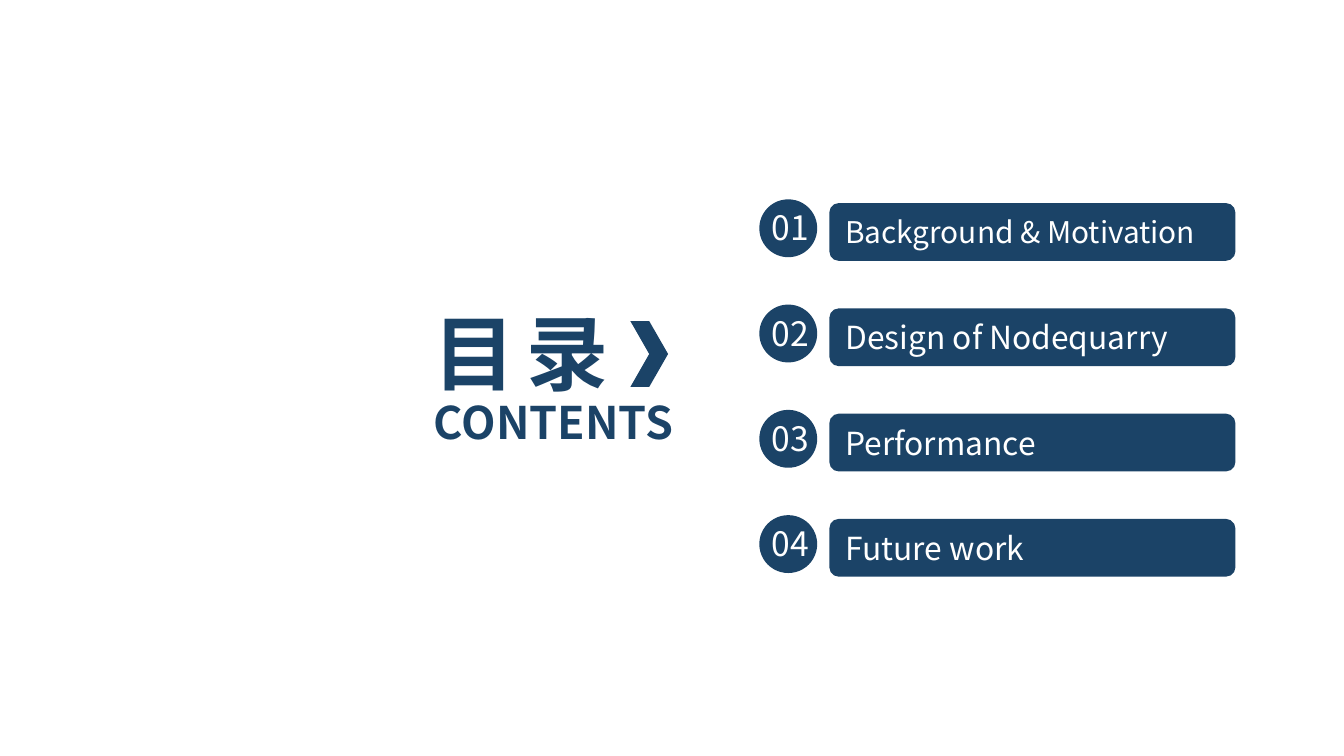
from pptx import Presentation
from pptx.dml.color import RGBColor
from pptx.enum.shapes import MSO_SHAPE as Preset
from pptx.enum.text import MSO_ANCHOR as Anchor, PP_ALIGN as Align
from pptx.oxml.ns import qn
from pptx.util import Pt
from lxml.etree import SubElement

NAVY = "1B4367"
WHITE = "FFFFFF"
FONT = "Noto Sans CJK SC"
ROW_PITCH = 56.4
CHAPTERS = [
    ("Background & Motivation", 16),
    ("Design of Nodequarry", 17),
    ("Performance", 17),
    ("Future work", 17),
]


def colour(value):
    """Turn a hex string into a colour."""
    return RGBColor.from_string(value)


def write(shape, text, size, color=WHITE, bold=False, align=Align.LEFT, spacing=None):
    """Write one formatted line, centred vertically in the shape."""
    frame = shape.text_frame
    frame.word_wrap = True
    frame.vertical_anchor = Anchor.MIDDLE
    paragraph = frame.paragraphs[0]
    paragraph.alignment = align
    run = paragraph.add_run()
    run.text = text
    run.font.name = FONT
    run.font.size = Pt(size)
    run.font.bold = bold
    run.font.color.rgb = colour(color)
    properties = run._r.get_or_add_rPr()
    SubElement(properties, qn("a:ea")).set("typeface", FONT)
    if spacing is not None:
        properties.set("spc", str(round(spacing * 100)))


def add_solid(shapes, preset, left, top, width, height):
    """Add a plain navy shape without outline or shadow."""
    shape = shapes.add_shape(preset, Pt(left), Pt(top), Pt(width), Pt(height))
    shape.shadow.inherit = False
    shape.fill.solid()
    shape.fill.fore_color.rgb = colour(NAVY)
    shape.line.fill.background()
    return shape


def add_label(shapes, left, top, width, height, text, size, **style):
    """Add a text box holding one line."""
    box = shapes.add_textbox(Pt(left), Pt(top), Pt(width), Pt(height))
    write(box, text, size, **style)


def add_heading(slide, left, top):
    """Place the bilingual heading and its chevron."""
    shapes = slide.shapes
    add_label(shapes, left, top, 169.2, 60.5, "目 录", 44, color=NAVY, bold=True, spacing=-2.2)
    add_label(shapes, left, top + 49.5, 166.3, 36, "CONTENTS", 24, color=NAVY, bold=True)
    add_solid(shapes, Preset.CHEVRON, left + 112.3, top + 13.6, 20.2, 35.3)


def add_chapter(slide, left, top, number, title, size):
    """Place one numbered badge with its title bar."""
    bar = add_solid(slide.shapes, Preset.ROUNDED_RECTANGLE, left + 39.7, top + 2, 217.6, 31)
    write(bar, title, size)
    badge = slide.shapes.add_group_shape()
    add_solid(badge.shapes, Preset.OVAL, left + 2.2, top, 31, 31)
    add_label(badge.shapes, left, top + 0.7, 37.4, 28.8, f"{number:02d}", 18, align=Align.CENTER)


def add_chapters(slide, left, top):
    """Stack the chapters at an equal pitch."""
    for index, (title, size) in enumerate(CHAPTERS):
        add_chapter(slide, left, top + index * ROW_PITCH, index + 1, title, size)


def main():
    """Build and save the contents slide."""
    presentation = Presentation()
    presentation.slide_width = Pt(720)
    presentation.slide_height = Pt(405)
    slide = presentation.slides.add_slide(presentation.slide_layouts[6])
    add_heading(slide, 225.4, 158.4)
    add_chapters(slide, 404.6, 106.8)
    presentation.save("out.pptx")


if __name__ == "__main__":
    main()
